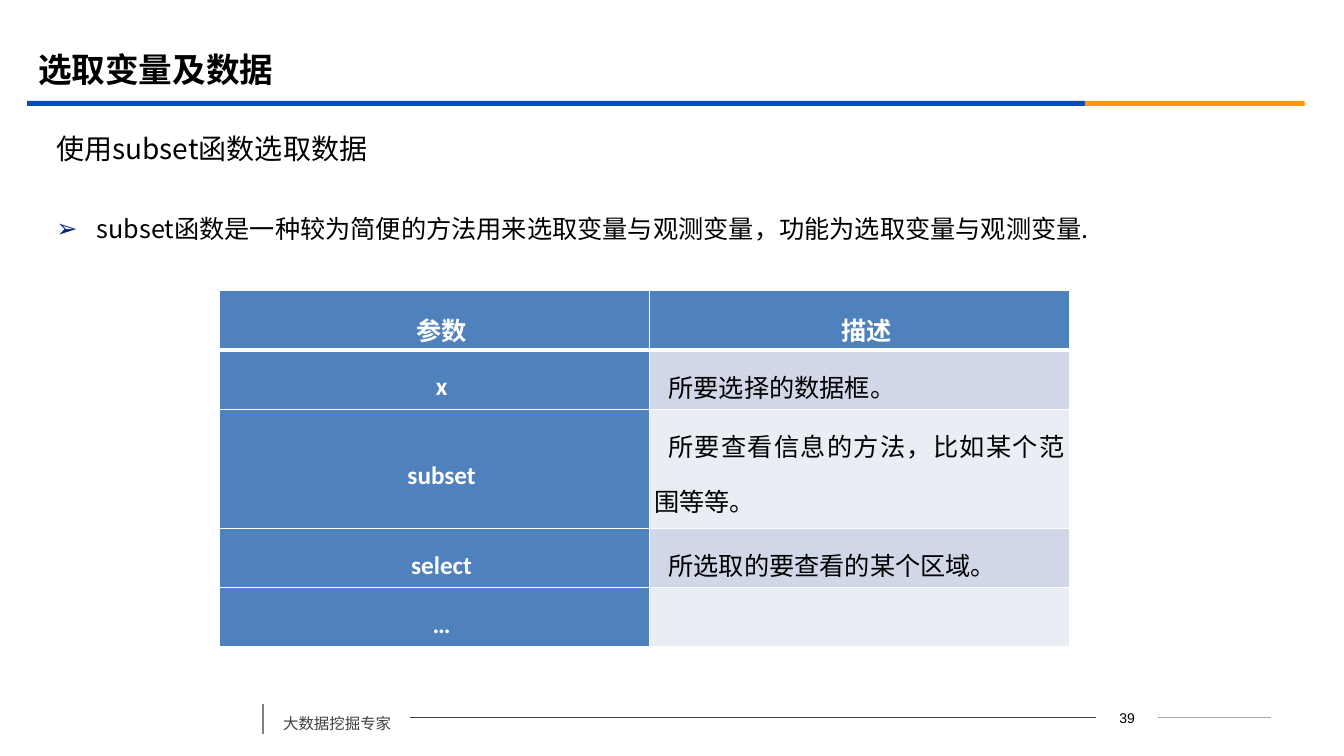
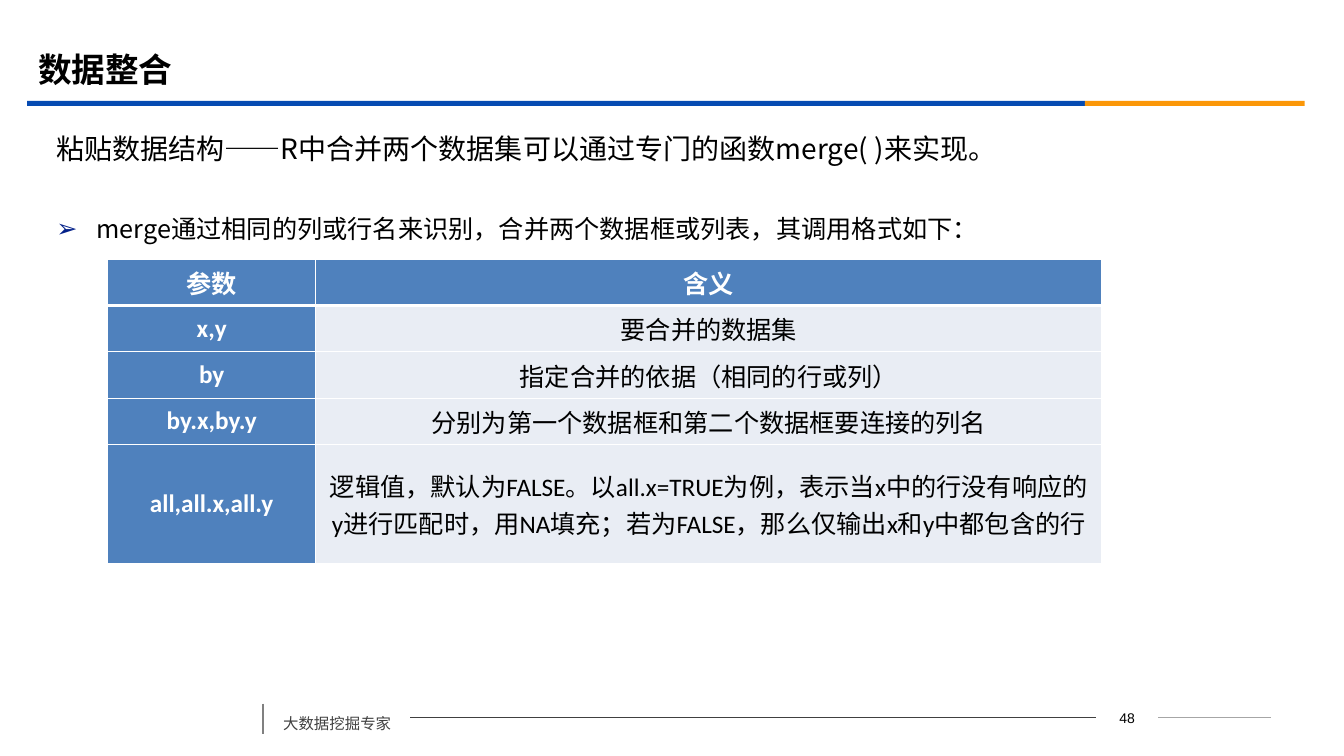
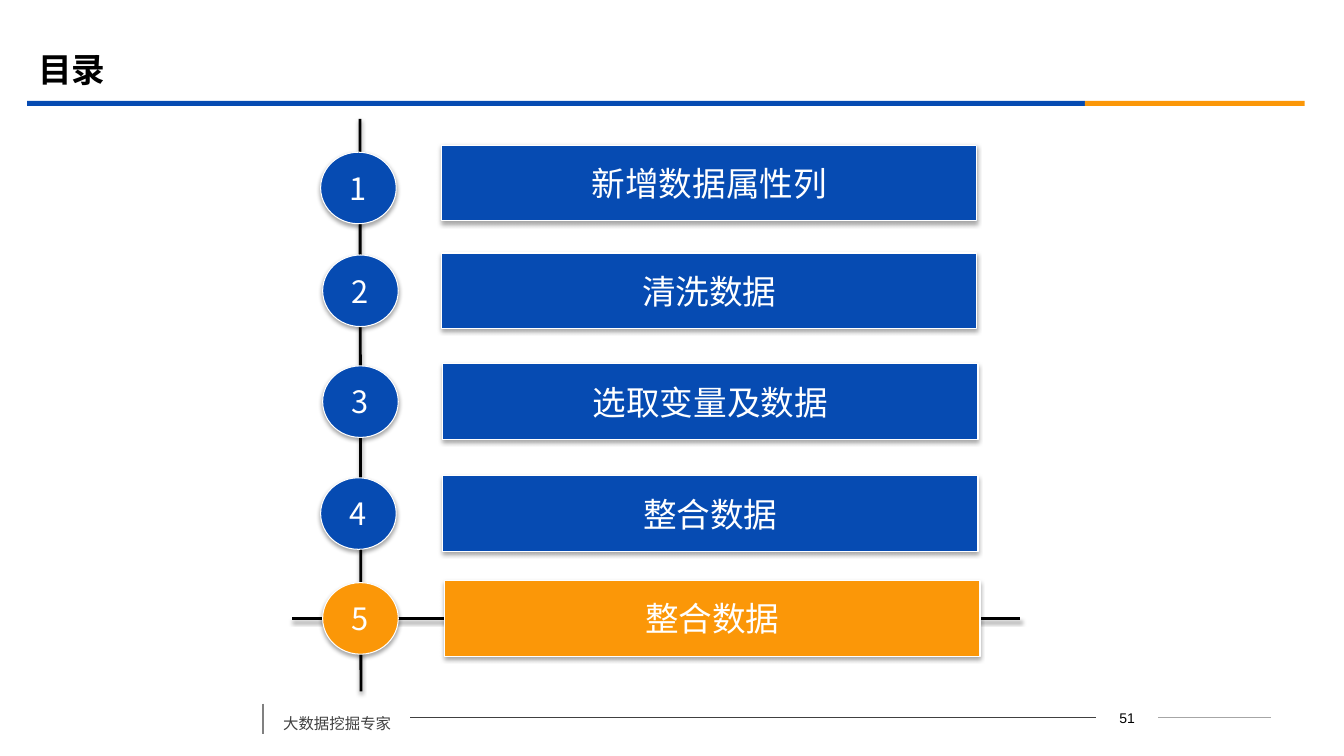
"""Build three slides of a data course: two parameter tables and a numbered contents list."""
import dataclasses

import lxml.etree
import pptx
import pptx.dml.color
import pptx.enum.shapes
import pptx.enum.text
import pptx.oxml.ns
import pptx.util

Inches = pptx.util.Inches
Pt = pptx.util.Pt
RGB = pptx.dml.color.RGBColor.from_string
qn = pptx.oxml.ns.qn
ALIGN = pptx.enum.text.PP_ALIGN
ANCHOR = pptx.enum.text.MSO_ANCHOR
SHAPE = pptx.enum.shapes.MSO_SHAPE


@dataclasses.dataclass(frozen=True)
class Theme:
    blue: str = "064BB2"
    orange: str = "FB9708"
    black: str = "000000"
    white: str = "FFFFFF"
    footer: str = "404040"
    divider: str = "808080"
    rule: str = "A6A6A6"
    bullet: str = "032089"
    head_fill: str = "4F81BD"
    dark_band: str = "D0D8E8"
    light_band: str = "E9EDF4"
    font: str = "Noto Sans CJK SC"
    table_font: str = "Calibri"
    number_font: str = "Arial"
    title_size: int = 24
    subtitle_size: int = 20
    body_size: int = 18
    badge_size: int = 22
    footer_size: int = 11
    number_size: int = 10


T = Theme()

BANDS = [(0.27, 10.49, T.blue), (10.76, 2.18, T.orange)]
FOOTER_LINES = [
    (11.49, 7.12, 12.61, 7.12, T.rule, 0.75),
    (4.07, 7.12, 10.87, 7.12, T.footer, 0.75),
    (2.61, 6.98, 2.61, 7.28, T.divider, 1.25),
]
AXES = [
    (3.57, 1.18, 3.58, 6.86, T.black, 2),
    (2.9, 6.14, 10.12, 6.14, T.black, 2),
]

PAGES = [
    {
        "number": "39",
        "title": "选取变量及数据",
        "subtitle": "使用subset函数选取数据",
        "point": "subset函数是一种较为简便的方法用来选取变量与观测变量，功能为选取变量与观测变量.",
        "table": {
            "at": (2.18, 2.88), "cols": (4.26, 4.17), "rows": (0.59, 0.59, 1.18, 0.59, 0.59),
            "margins": (0.05, 0), "indent": 0.14, "spacing": 1.5,
            "align": ALIGN.JUSTIFY, "anchor": ANCHOR.TOP, "bands": (T.light_band, T.dark_band),
            "cells": [
                ("参数", "描述"),
                ("x", "所要选择的数据框。"),
                ("subset", "所要查看信息的方法，比如某个范围等等。"),
                ("select", "所选取的要查看的某个区域。"),
                ("…", ""),
            ],
        },
    },
    {
        "number": "48",
        "title": "数据整合",
        "subtitle": "粘贴数据结构——R中合并两个数据集可以通过专门的函数merge( )来实现。",
        "point": "merge通过相同的列或行名来识别，合并两个数据框或列表，其调用格式如下：",
        "table": {
            "at": (1.07, 2.57), "cols": (2.06, 7.8), "rows": (0.46, 0.46, 0.46, 0.46, 1.18),
            "margins": (0.1, 0.05), "indent": 0, "spacing": 1.0,
            "align": ALIGN.CENTER, "anchor": ANCHOR.MIDDLE, "bands": (T.light_band, T.light_band),
            "cells": [
                ("参数", "含义"),
                ("x,y", "要合并的数据集"),
                ("by", "指定合并的依据（相同的行或列）"),
                ("by.x,by.y", "分别为第一个数据框和第二个数据框要连接的列名"),
                ("all,all.x,all.y", "逻辑值，默认为FALSE。以all.x=TRUE为例，表示当x中的行没有响应的y进行匹配时，"
                                    "用NA填充；若为FALSE，那么仅输出x和y中都包含的行"),
            ],
        },
    },
    {
        "number": "51",
        "title": "目录",
        "lines": AXES,
        "chapters": [
            ("新增数据属性列", 4.38, 1.44, 3.18, 1.51, T.blue),
            ("清洗数据", 4.38, 2.51, 3.2, 2.53, T.blue),
            ("选取变量及数据", 4.39, 3.61, 3.2, 3.63, T.blue),
            ("整合数据", 4.39, 4.72, 3.18, 4.74, T.blue),
            ("整合数据", 4.41, 5.76, 3.2, 5.78, T.orange),
        ],
    },
]


def add_run(p, text, size, color, bold=False, font=T.font):
    r = p.add_run()
    r.text = text
    r.font.size = Pt(size)
    r.font.bold = bold
    r.font.color.rgb = RGB(color)
    r.font.name = font
    lxml.etree.SubElement(r.font._element, qn("a:ea"), typeface=T.font)


def add_text(slide, box, anchor, text, size, color, bold=False, font=T.font):
    tf = slide.shapes.add_textbox(*map(Inches, box)).text_frame
    tf.word_wrap = True
    tf.vertical_anchor = anchor
    p = tf.paragraphs[0]
    add_run(p, text, size, color, bold, font)
    return p


prs = pptx.Presentation()
prs.slide_width = Inches(13.33)
prs.slide_height = Inches(7.5)

for page in PAGES:
    s = prs.slides.add_slide(prs.slide_layouts[6])
    shadows = []

    for left, width, color in BANDS:
        sp = s.shapes.add_shape(SHAPE.RECTANGLE, Inches(left), Inches(1), Inches(width), Inches(0.05))
        sp.shadow.inherit = False
        sp.fill.solid()
        sp.fill.fore_color.rgb = RGB(color)
        sp.line.fill.background()

    for x1, y1, x2, y2, color, width in FOOTER_LINES + page.get("lines", []):
        cxn = s.shapes.add_connector(
            pptx.enum.shapes.MSO_CONNECTOR.STRAIGHT, Inches(x1), Inches(y1), Inches(x2), Inches(y2))
        cxn.line.color.rgb = RGB(color)
        cxn.line.width = Pt(width)
        effects = lxml.etree.SubElement(cxn._element.spPr, qn("a:effectLst"))
        if color == T.black:
            shadows.append((effects, 38, 1.6))

    add_text(s, (0.28, 0.39, 12, 0.58), ANCHOR.MIDDLE, page["title"], T.title_size, T.black, True)
    p = add_text(s, (2.71, 6.94, 1.36, 0.38), ANCHOR.TOP, "大数据挖掘专家", T.footer_size, T.footer)
    p.line_spacing = 1.5
    p.space_before = Pt(6)
    p = add_text(s, (10.87, 6.99, 0.62, 0.25), ANCHOR.TOP, page["number"],
                 T.number_size, T.black, font=T.number_font)
    p.alignment = ALIGN.CENTER

    if "table" in page:
        p = add_text(s, (0.46, 1.24, 12.15, 0.47), ANCHOR.MIDDLE, page["subtitle"],
                     T.subtitle_size, T.black)
        p.space_before = Pt(4)
        p = add_text(s, (0.46, 1.92, 12.15, 4.78), ANCHOR.TOP, page["point"], T.body_size, T.black)
        p.line_spacing = 1.5
        p.space_before = Pt(10)
        pPr = p._p.get_or_add_pPr()
        pPr.set("marL", str(Inches(0.4)))
        pPr.set("indent", str(-Inches(0.4)))
        bullet_color = lxml.etree.SubElement(pPr, qn("a:buClr"))
        lxml.etree.SubElement(bullet_color, qn("a:srgbClr"), val=T.bullet)
        lxml.etree.SubElement(pPr, qn("a:buFont"), typeface=T.number_font)
        lxml.etree.SubElement(pPr, qn("a:buChar"), char="➢")

        spec = page["table"]
        cols, rows = spec["cols"], spec["rows"]
        table = s.shapes.add_table(
            len(rows), len(cols), *map(Inches, spec["at"]), Inches(sum(cols)), Inches(sum(rows))).table
        for column, width in zip(table.columns, cols):
            column.width = Inches(width)
        for row, height in zip(table.rows, rows):
            row.height = Inches(height)
        for i, texts in enumerate(spec["cells"]):
            for j, text in enumerate(texts):
                heading = i == 0 or j == 0
                cell = table.cell(i, j)
                cell.margin_left = cell.margin_right = Inches(spec["margins"][0])
                cell.margin_top = cell.margin_bottom = Inches(spec["margins"][1])
                cell.vertical_anchor = ANCHOR.MIDDLE if heading else spec["anchor"]
                tcPr = cell._tc.get_or_add_tcPr()
                for side in "LRTB":
                    thick = (i, side) in ((0, "B"), (1, "T"))
                    ln = lxml.etree.SubElement(tcPr, qn("a:ln" + side), w=str(Pt(3 if thick else 1)))
                    fill = lxml.etree.SubElement(ln, qn("a:solidFill"))
                    lxml.etree.SubElement(fill, qn("a:srgbClr"), val=T.white)
                cell.fill.solid()
                cell.fill.fore_color.rgb = RGB(T.head_fill if heading else spec["bands"][i % 2])
                if text:
                    p = cell.text_frame.paragraphs[0]
                    p.alignment = ALIGN.CENTER if heading else spec["align"]
                    p.line_spacing = spec["spacing"]
                    p._p.get_or_add_pPr().set("indent", str(Inches(spec["indent"])))
                    add_run(p, text, T.body_size, T.white if heading else T.black, heading, T.table_font)

    for n, (name, bar_x, bar_y, badge_x, badge_y, color) in enumerate(page.get("chapters", []), 1):
        for kind, box, text, size in (
            (SHAPE.ACTION_BUTTON_CUSTOM, (bar_x, bar_y, 5.31, 0.75), name, T.title_size),
            (SHAPE.OVAL, (badge_x, badge_y, 0.75, 0.71), str(n), T.badge_size),
        ):
            sp = s.shapes.add_shape(kind, *map(Inches, box))
            sp.shadow.inherit = False
            sp.fill.solid()
            sp.fill.fore_color.rgb = RGB(color)
            sp.line.color.rgb = RGB(T.white)
            sp.line.width = Pt(0.75)
            shadows.append((sp._element.spPr.find(qn("a:effectLst")), 35, 1.8))
            tf = sp.text_frame
            tf.word_wrap = False
            tf.vertical_anchor = ANCHOR.MIDDLE
            p = tf.paragraphs[0]
            p.alignment = ALIGN.CENTER
            add_run(p, text, size, T.white)

    for effects, opacity, distance in shadows:
        shadow = lxml.etree.SubElement(
            effects, qn("a:outerShdw"), blurRad=str(Pt(3.1)), dist=str(Pt(distance)),
            dir="5400000", rotWithShape="0")
        tint = lxml.etree.SubElement(shadow, qn("a:srgbClr"), val=T.black)
        lxml.etree.SubElement(tint, qn("a:alpha"), val=str(opacity * 1000))

prs.save("out.pptx")
